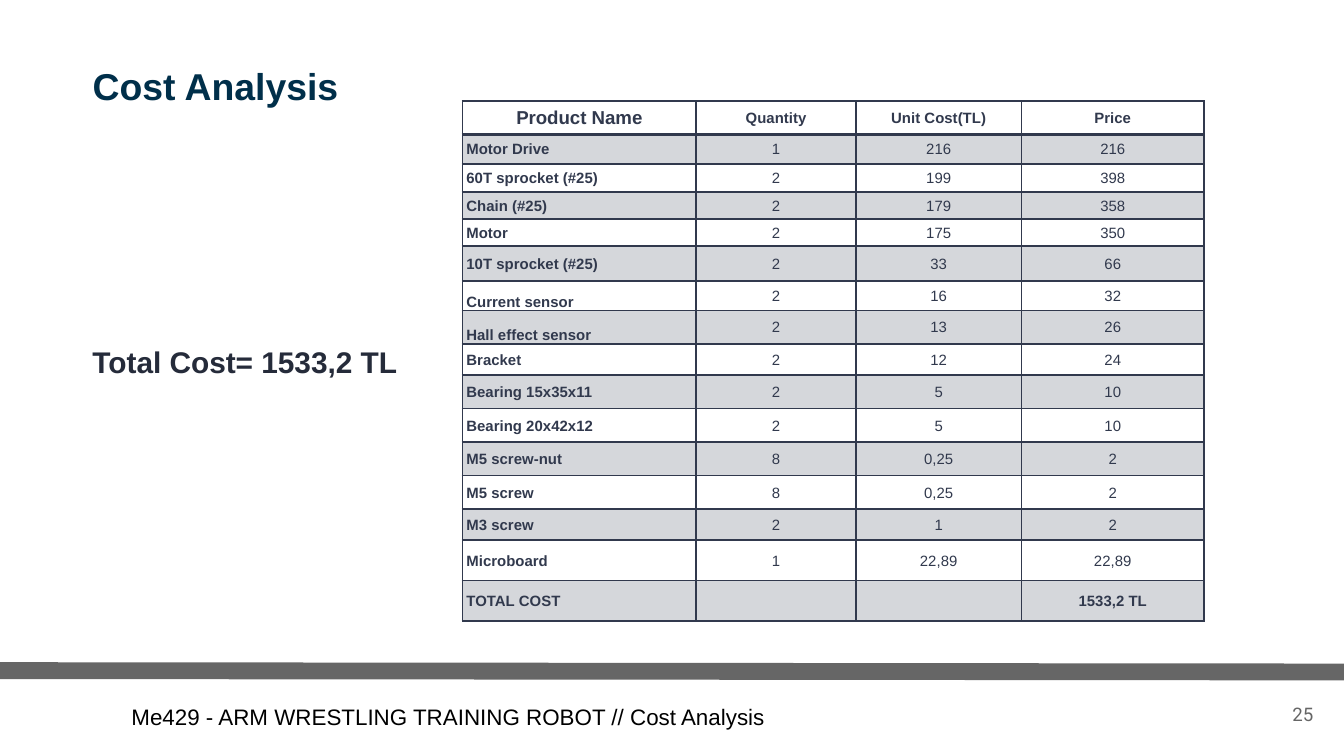
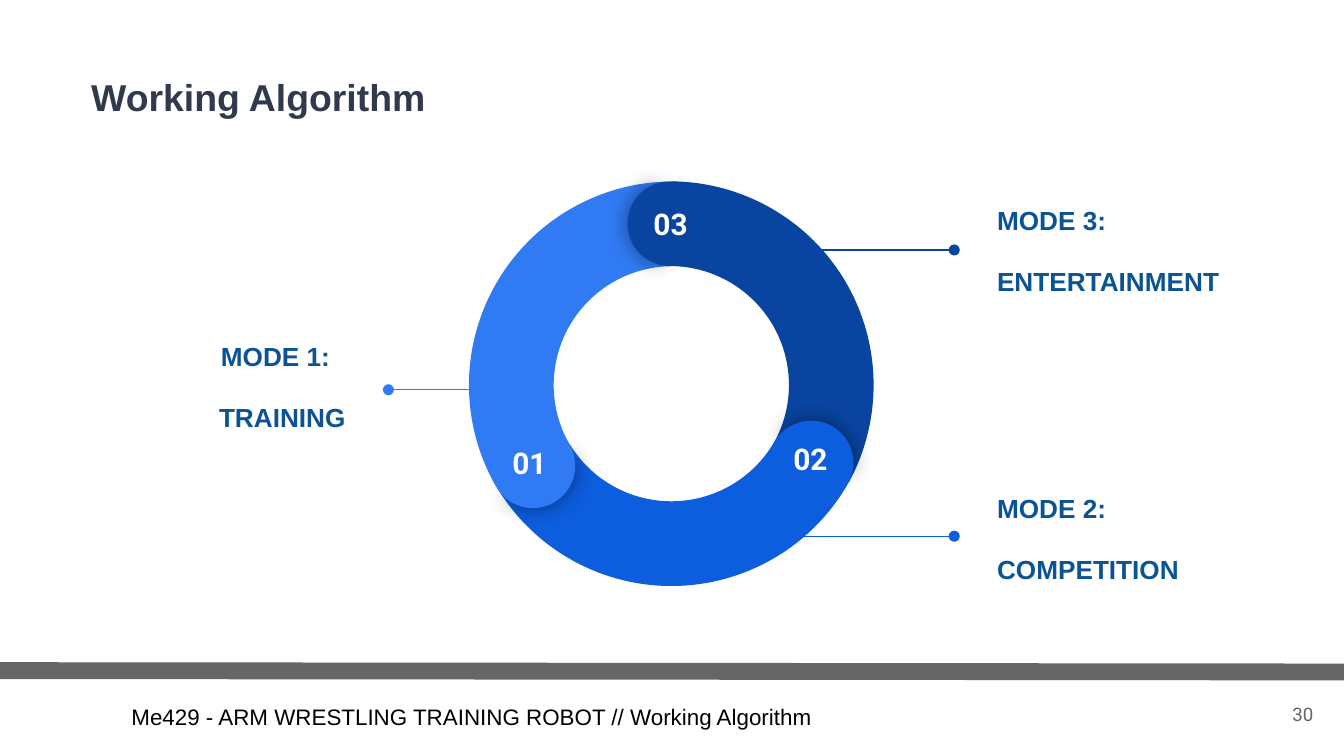
"""Build the cost analysis and working algorithm slides of the robot project."""
import pptx
import pptx.util
import pptx.dml.color
import pptx.enum.shapes
import pptx.enum.text
import pptx.oxml
import pptx.oxml.ns

Inches, Pt = pptx.util.Inches, pptx.util.Pt
ALIGN = pptx.enum.text.PP_ALIGN
ANCHOR = pptx.enum.text.MSO_ANCHOR
SHAPE = pptx.enum.shapes.MSO_SHAPE

COLORS = {
    "ink": "31394D", "navy": "002F4A", "total": "252B3A", "gray": "666666",
    "black": "000000", "white": "FFFFFF", "label": "0B5394",
    "dark": "0944A1", "mid": "0D5DDF", "light": "307BF3",
}
RING, CAP = 3.03, 0.63

COLUMNS = [1.74, 1.19, 1.23, 1.36]
COSTS = [
    (0.25, "Product Name", "Quantity", "Unit Cost(TL)", "Price"),
    (0.22, "Motor Drive", "1", "216", "216"),
    (0.21, "60T sprocket (#25)", "2", "199", "398"),
    (0.2, "Chain (#25)", "2", "179", "358"),
    (0.2, "Motor", "2", "175", "350"),
    (0.26, "10T sprocket (#25)", "2", "33", "66"),
    (0.22, "Current sensor", "2", "16", "32"),
    (0.25, "Hall effect sensor", "2", "13", "26"),
    (0.23, "Bracket", "2", "12", "24"),
    (0.25, "Bearing 15x35x11", "2", "5", "10"),
    (0.25, "Bearing 20x42x12", "2", "5", "10"),
    (0.25, "M5 screw-nut", "8", "0,25", "2"),
    (0.25, "M5 screw", "8", "0,25", "2"),
    (0.23, "M3 screw", "2", "1", "2"),
    (0.3, "Microboard", "1", "22,89", "22,89"),
    (0.3, "TOTAL COST", "", "", "1533,2 TL"),
]


def rgb(name):
    """Return the named colour."""
    return pptx.dml.color.RGBColor.from_string(COLORS[name])


def element(tag, inner="", **attributes):
    """Return a DrawingML element with the given attributes and content."""
    settings = "".join(f' {key}="{value}"' for key, value in attributes.items())
    namespace = pptx.oxml.ns.nsdecls("a")
    return pptx.oxml.parse_xml(f"<a:{tag} {namespace}{settings}>{inner}</a:{tag}>")


def write(paragraph, text, size=12, color="black", font="Arial", bold=False,
          align=ALIGN.LEFT, before=None, after=None, spacing=None, indent=0):
    """Put formatted text in a paragraph."""
    if indent:
        paragraph._p.get_or_add_pPr().set("marL", str(Inches(indent)))
    paragraph.alignment = align
    paragraph.space_before = before
    paragraph.space_after = after
    paragraph.line_spacing = spacing
    if text:
        paragraph.add_run().text = text
    for style in [paragraph.font] + [run.font for run in paragraph.runs]:
        style.size, style.name, style.bold = Pt(size), font, bold
        style.color.rgb = rgb(color)


class Deck:
    """Hold the shared style and the current slide."""

    def __init__(self):
        """Start an empty widescreen presentation."""
        self.presentation = pptx.Presentation()
        self.presentation.slide_width = Inches(10)
        self.presentation.slide_height = Inches(10) * 9 // 16

    def slide(self, title, number, place, color):
        """Add a slide with its title, band, footer and number."""
        self.page = self.presentation.slides.add_slide(self.presentation.slide_layouts[6])
        self.page.background.fill.solid()
        self.page.background.fill.fore_color.rgb = rgb("white")
        self.shapes = self.page.shapes
        self.text(place, [title], size=20, color=color, bold=True)
        self.text((9.27, 5.1, 0.6, 0.43), [number], anchor=ANCHOR.MIDDLE,
                  size=10, font="Roboto", color="gray", align=ALIGN.RIGHT)
        self.line((-0.02, 4.99), (10.02, 5), "gray", 9)
        self.text((0.88, 5.13, 7.43, 0.37),
                  [f"Me429 - ARM WRESTLING TRAINING ROBOT // {title}"])

    def group(self):
        """Send the next elements to a new group."""
        self.shapes = self.page.shapes.add_group_shape().shapes

    def text(self, place, lines, anchor=ANCHOR.TOP, inset=0.1, formats=None, **style):
        """Add a text box with one paragraph per line."""
        frame = self.shapes.add_textbox(*map(Inches, place)).text_frame
        frame.word_wrap = True
        frame.vertical_anchor = anchor
        frame.margin_left = frame.margin_right = Inches(0.1)
        frame.margin_top = frame.margin_bottom = Inches(inset)
        formats = formats or [{}] * len(lines)
        for index, line in enumerate(lines):
            paragraph = frame.add_paragraph() if index else frame.paragraphs[0]
            write(paragraph, line, **{**style, **formats[index]})

    def line(self, start, end, color, width, dot=False):
        """Add a straight line, with a dot at its end on request."""
        connector = self.shapes.add_connector(
            pptx.enum.shapes.MSO_CONNECTOR.STRAIGHT, *map(Inches, start + end))
        connector.line.width = Pt(width)
        connector.line.color.rgb = rgb(color)
        if dot:
            connector.line._get_or_add_ln().append(element("tailEnd", type="oval"))
        connector._element.spPr.append(element("effectLst"))

    def sector(self, kind, place, color, rotation, adjustments, glow=False):
        """Add a turned arc or pie, with a soft shadow on request."""
        sector = self.shapes.add_shape(kind, *map(Inches, place))
        sector.rotation = rotation
        for index, value in enumerate(adjustments):
            sector.adjustments[index] = value
        sector.fill.solid()
        sector.fill.fore_color.rgb = rgb(color)
        sector.line.fill.background()
        sector.shadow.inherit = False
        if glow:
            effects = sector._element.spPr.find(pptx.oxml.ns.qn("a:effectLst"))
            effects.append(element(
                "outerShdw", '<a:srgbClr val="000000"><a:alpha val="43000"/></a:srgbClr>',
                blurRad=Pt(11.2), dist=0, dir=0, algn="ctr", rotWithShape=0))

    def cell(self, cell, row, column, text):
        """Format one cell of the cost table."""
        header, total = row == 0, row == len(COSTS) - 1
        cell.margin_left = cell.margin_right = Inches(0.03)
        cell.margin_top = cell.margin_bottom = 0
        low = column == 0 and text.endswith("sensor")
        cell.vertical_anchor = ANCHOR.BOTTOM if low else ANCHOR.MIDDLE
        write(cell.text_frame.paragraphs[0], text, size=10 if header and column == 0 else 8,
              color="ink", bold=header or total or column == 0,
              align=ALIGN.CENTER if header or column else ALIGN.LEFT,
              spacing=1.07, after=Pt(8))
        if row % 2:
            cell.fill.solid()
            cell.fill.fore_color.rgb = rgb("ink")
            tint = cell._tc.tcPr.find(".//" + pptx.oxml.ns.qn("a:srgbClr"))
            tint.append(element("alpha", val=20000))
        else:
            cell.fill.background()
        ink = f'<a:solidFill><a:srgbClr val="{COLORS["ink"]}"/></a:solidFill>'
        widths = {"lnL": 1, "lnR": 1, "lnT": 2 if row == 1 else 1, "lnB": 2 if header else 1}
        for index, (side, width) in enumerate(widths.items()):
            cell._tc.tcPr.insert(index, element(side, ink, w=Pt(width)))

    def cost_table(self, place):
        """Add the table of product costs."""
        table = self.shapes.add_table(len(COSTS), len(COLUMNS), *map(Inches, place)).table
        table.first_row = table.horz_banding = False
        for column, width in enumerate(COLUMNS):
            table.columns[column].width = Inches(width)
        for row, (height, *values) in enumerate(COSTS):
            table.rows[row].height = Inches(height)
            for column, value in enumerate(values):
                self.cell(table.cell(row, column), row, column, value)

    def mode(self, place, lines, start, end, color, formats=({}, {})):
        """Add a mode label with its leader line."""
        self.group()
        first, second = formats
        self.text(place, lines, anchor=ANCHOR.MIDDLE, size=14, color="label", bold=True,
                  formats=[first, {**second, "before": Pt(16)}])
        self.line(start, end, color, 0.75, dot=True)

    def ring(self):
        """Add the three-part ring with its numbered caps."""
        self.group()
        arcs = [(3.47, 1.35, "dark", 60), (3.48, 1.33, "mid", 180), (3.49, 1.35, "light", 300)]
        for left, top, color, rotation in arcs:
            self.sector(SHAPE.BLOCK_ARC, (left, top, RING, RING), color, rotation,
                        (126.23, 197.2, CAP / RING))
        caps = [(3.65, 3.15, "light", 240), (4.67, 1.35, "dark", 0), (5.72, 3.13, "mid", 120)]
        for left, top, color, rotation in caps:
            place = (left, top, CAP, CAP)
            self.sector(SHAPE.PIE, place, color, rotation + 0.65, (61.9, 149.96), glow=True)
            self.sector(SHAPE.PIE, place, color, (rotation + 180) % 360, (40.28, 171.84))
        for number, left, top in [("03", 4.71, 1.43), ("01", 3.66, 3.21), ("02", 5.75, 3.18)]:
            self.text((left, top, 0.56, 0.29), [number], size=16, font="Roboto",
                      color="white", bold=True, align=ALIGN.CENTER)


def main():
    """Build both slides and save them."""
    deck = Deck()

    deck.slide("Cost Analysis", "25", (0.59, 0.37, 5.12, 0.77), "navy")
    deck.cost_table((3.44, 0.75, 5.52, 3.88))
    deck.text((0.59, 2.51, 3, 0.37), ["Total Cost= 1533,2 TL"], inset=0.05,
              size=16, color="total", bold=True)

    deck.slide("Working Algorithm", "30", (0.58, 0.45, 5.58, 0.85), "ink")
    deck.mode((0.35, 2.17, 2.32, 1.41), ["MODE 1:", "TRAINING"], (3.58, 2.9), (2.89, 2.9),
              "light", ({"align": ALIGN.CENTER, "indent": 1.08}, {"align": ALIGN.RIGHT}))
    deck.mode((7.32, 1.16, 2.32, 1.41), ["MODE 3:", "ENTERTAINMENT"],
              (5.7, 1.86), (7.1, 1.86), "dark")
    deck.mode((7.32, 3.3, 2.32, 1.41), ["MODE 2:", "COMPETITION"],
              (5.7, 3.99), (7.1, 3.99), "mid")
    deck.ring()

    deck.presentation.save("out.pptx")


if __name__ == "__main__":
    main()
